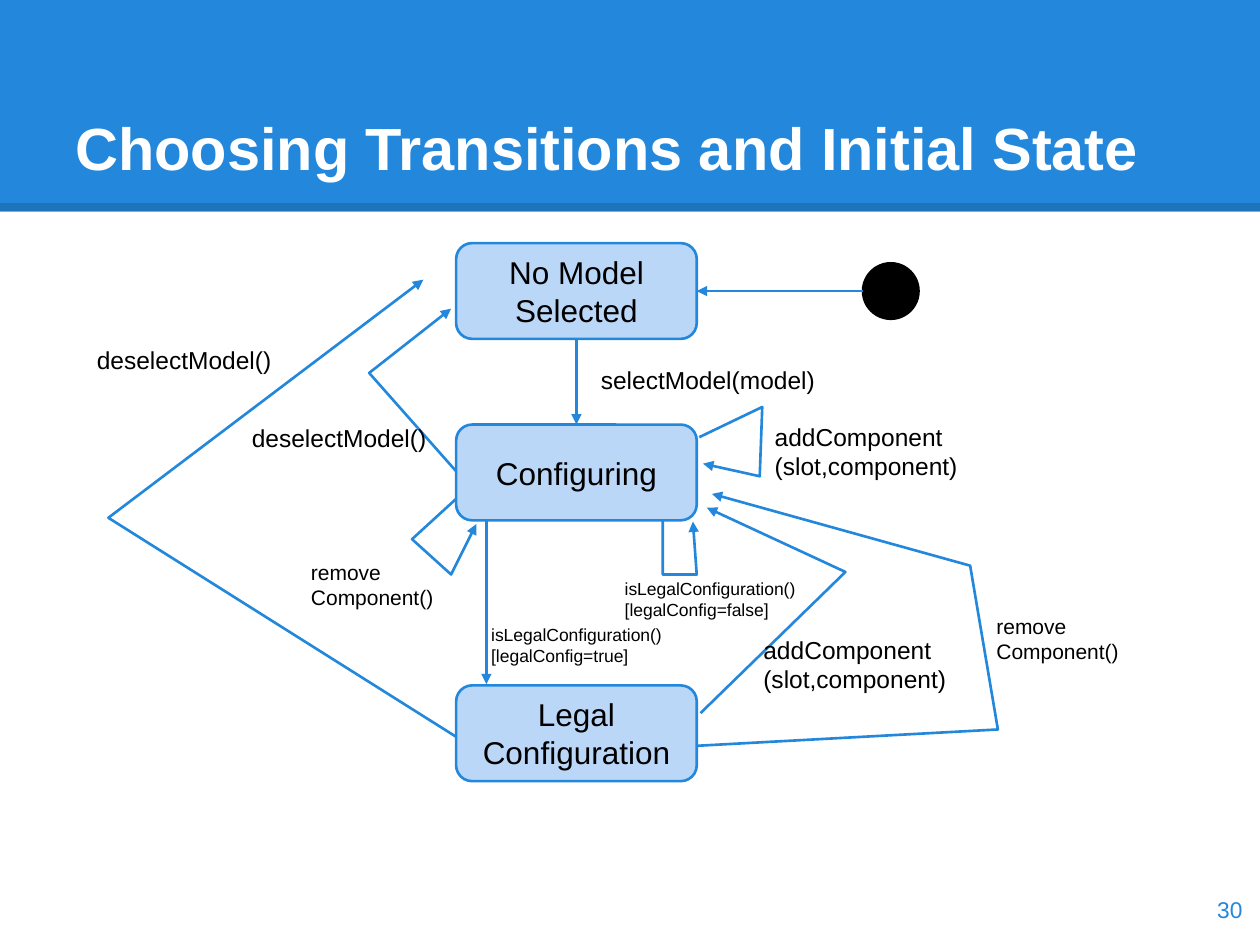
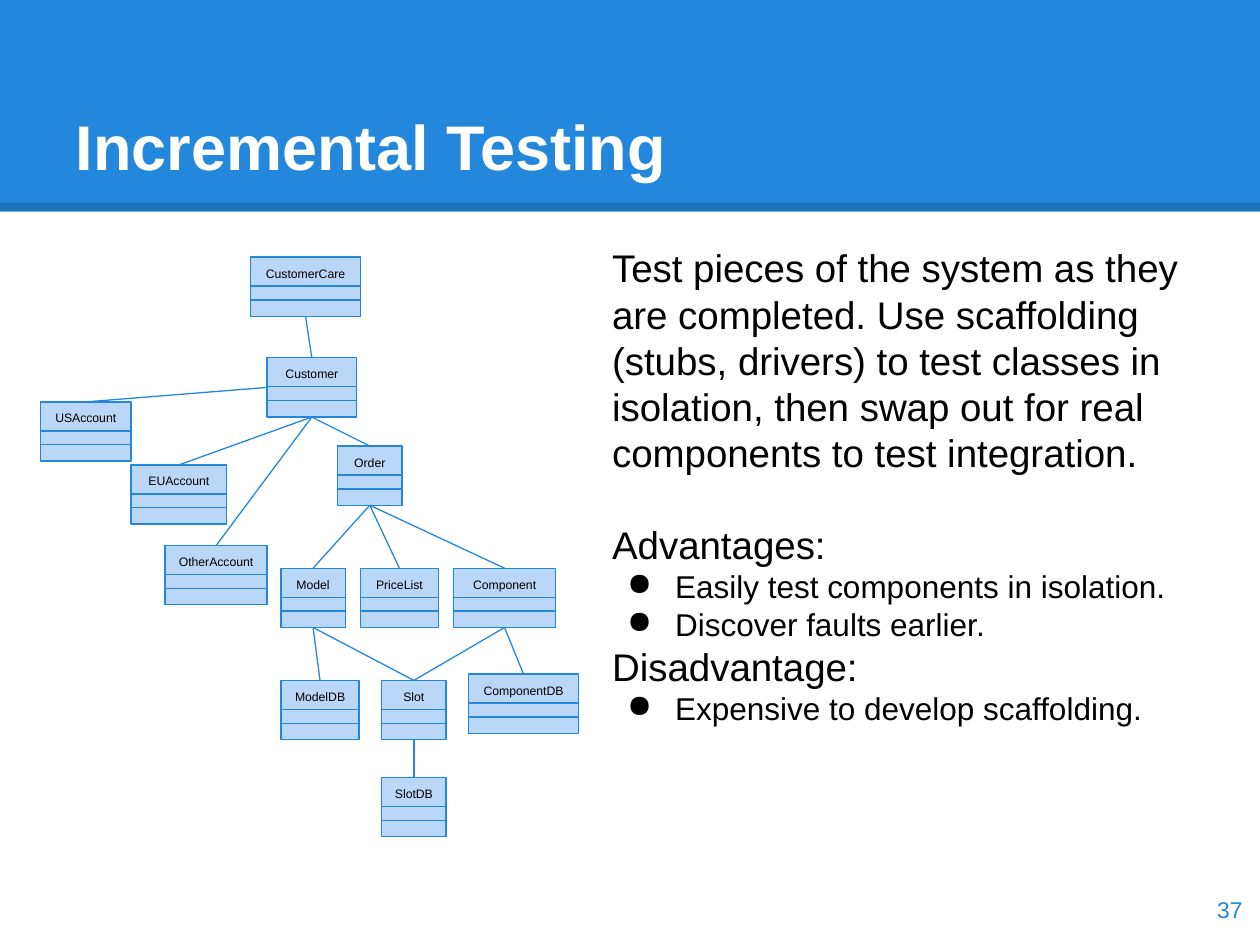
"""Build two lecture slides: a state diagram and an incremental testing overview."""
from lxml.etree import SubElement
from pptx import Presentation
from pptx.dml.color import RGBColor
from pptx.enum.shapes import MSO_CONNECTOR, MSO_SHAPE
from pptx.enum.text import MSO_ANCHOR, MSO_AUTO_SIZE, PP_ALIGN
from pptx.oxml.ns import qn
from pptx.util import Inches, Pt

FONT = "Arial"
BLUE, DARK_BLUE, PALE_BLUE = "2388DB", "1E74BA", "BBD7F8"
BLACK, WHITE = "000000", "FFFFFF"
TOP, LEFT, BOTTOM, RIGHT = range(4)

STATE_LEFT, STATE_WIDTH, STATE_HEIGHT = 3.62, 1.91, 0.76
STATES = {"No Model Selected": 1.93, "Configuring": 3.37, "Legal Configuration": 5.44}
TRANSITIONS = [
    [(5.52, 5.92), (7.92, 5.79), (7.7, 4.49), (5.65, 3.92)],
    [(3.62, 3.74), (2.93, 2.96), (3.58, 2.45)],
    [(3.64, 5.86), (0.86, 4.11), (3.36, 2.22)],
    [(5.55, 3.47), (6.05, 3.23), (6.03, 3.78), (5.58, 3.68)],
    [(5.56, 5.66), (6.71, 4.54), (5.61, 4.03)],
    [(3.62, 3.96), (3.27, 4.28), (3.58, 4.56), (3.78, 4.16)],
    [(5.26, 4.13), (5.26, 4.56), (5.53, 4.56), (5.5, 4.14)],
]
LABELS = [
    ("selectModel(model)", 4.67, 2.8, 1.96, 14),
    ("deselectModel()", 1.9, 3.26, 1.96, 14),
    ("deselectModel()", 0.67, 2.64, 1.96, 14),
    ("addComponent\n(slot,component)", 6.05, 3.25, 1.72, 14),
    ("addComponent\n(slot,component)", 5.96, 4.94, 1.72, 14),
    ("remove\nComponent()", 2.37, 4.34, 1.8, 12),
    ("remove\nComponent()", 7.81, 4.77, 1.8, 12),
    ("isLegalConfiguration() [legalConfig=true]", 3.8, 4.85, 1.6, 10),
    ("isLegalConfiguration() [legalConfig=false]", 4.86, 4.49, 1.96, 10),
]

CLASS_HEIGHT, DIVIDERS = 0.47, (0.23, 0.34)
CLASSES = {
    "USAccount": (0.32, 3.19, 0.72),
    "OtherAccount": (1.31, 4.33, 0.81),
    "EUAccount": (1.04, 3.69, 0.76),
    "Customer": (2.12, 2.84, 0.71),
    "CustomerCare": (1.99, 2.04, 0.87),
    "Order": (2.68, 3.54, 0.51),
    "Model": (2.23, 4.51, 0.51),
    "PriceList": (2.86, 4.51, 0.62),
    "Component": (3.6, 4.51, 0.81),
    "Slot": (3.03, 5.4, 0.51),
    "ModelDB": (2.23, 5.4, 0.62),
    "SlotDB": (3.03, 6.17, 0.51),
    "ComponentDB": (3.72, 5.35, 0.87),
}
CHILDREN = {
    "CustomerCare": ["Customer"],
    "Customer": ["EUAccount", "OtherAccount", "Order"],
    "Order": ["Model", "PriceList", "Component"],
    "Model": ["ModelDB", "Slot"],
    "Component": ["Slot", "ComponentDB"],
    "Slot": ["SlotDB"],
}
INTRO = ("Test pieces of the system as they are completed. Use scaffolding "
         "(stubs, drivers) to test classes in isolation, then swap out for real "
         "components to test integration.")
SECTIONS = [
    ("Advantages:", 26, ["Easily test components in isolation.", "Discover faults earlier."]),
    ("Disadvantage:", 0, ["Expensive to develop scaffolding."]),
]


def rgb(color):
    """Turn a hex string into a colour."""
    return RGBColor.from_string(color)


def inches(*values):
    """Convert numbers to lengths in inches."""
    return [Inches(v) for v in values]


def add_run(p, text, size, color=BLACK, bold=False):
    """Add formatted text to a paragraph, breaking at newlines."""
    for i, line in enumerate(text.split("\n")):
        if i:
            p.add_line_break()
        r = p.add_run()
        r.text = line
        r.font.name, r.font.size, r.font.bold = FONT, Pt(size), bold
        r.font.color.rgb = rgb(color)


def set_frame(tf, anchor=MSO_ANCHOR.TOP, inset=0.1, top=0.1):
    """Give a text frame wrapping, an anchor and its margins."""
    tf.word_wrap, tf.auto_size, tf.vertical_anchor = True, MSO_AUTO_SIZE.NONE, anchor
    tf.margin_left = tf.margin_right = Inches(inset)
    tf.margin_top = tf.margin_bottom = Inches(top)


def style_line(sp, color, width, arrow=False):
    """Colour an outline and optionally end it with a triangle."""
    sp.line.color.rgb = rgb(color)
    sp.line.width = Pt(width)
    if arrow:
        SubElement(sp.element.spPr.find(qn("a:ln")), qn("a:tailEnd"), type="triangle")


def add_box(s, kind, at, fill, line=None, width=1.5):
    """Add a filled preset shape."""
    sp = s.shapes.add_shape(kind, *inches(*at))
    sp.shadow.inherit = False
    sp.fill.solid()
    sp.fill.fore_color.rgb = rgb(fill)
    if line:
        style_line(sp, line, width)
    else:
        sp.line.fill.background()
    return sp


def add_line(s, start, end, color=BLUE, width=0.75, arrow=False):
    """Add a straight connector between two points."""
    line = s.shapes.add_connector(MSO_CONNECTOR.STRAIGHT, *inches(*start, *end))
    style_line(line, color, width, arrow)
    SubElement(line.element.spPr, qn("a:effectLst"))
    return line


def join(s, first, first_side, second, second_side, **style):
    """Connect the sides of two boxes."""
    line = add_line(s, (0, 0), (1, 1), **style)
    line.begin_connect(first, first_side)
    line.end_connect(second, second_side)


def add_path(s, points):
    """Add an open bent arrow through the points."""
    start, *rest = [inches(*point) for point in points]
    builder = s.shapes.build_freeform(*start)
    builder.add_line_segments(rest, close=False)
    sp = builder.convert_to_shape()
    sp.shadow.inherit = False
    sp.fill.background()
    style_line(sp, BLUE, 1.5, arrow=True)


def add_text(s, at, anchor=MSO_ANCHOR.TOP):
    """Add a wrapping text box and return its frame."""
    tf = s.shapes.add_textbox(*inches(*at)).text_frame
    set_frame(tf, anchor)
    return tf


def add_band(s):
    """Draw the header band and move it to the slide's layout."""
    band = add_box(s, MSO_SHAPE.RECTANGLE, (0, 0, 10, 1.68), BLUE)
    rule = add_line(s, (0, 1.64), (10, 1.64), DARK_BLUE, 4.5)
    for i, sp in enumerate((band, rule)):
        s.slide_layout.shapes.element.insert(2 + i, sp.element)


def add_slide(prs, title, size, number):
    """Add a slide with its title and page number."""
    s = prs.slides.add_slide(prs.slide_layouts[5])
    sp = s.shapes.title
    sp.left, sp.top, sp.width, sp.height = inches(0.5, 0.3, 9, 1.25)
    set_frame(sp.text_frame, MSO_ANCHOR.BOTTOM)
    p = sp.text_frame.paragraphs[0]
    p.alignment = PP_ALIGN.LEFT
    add_run(p, title, size, WHITE, bold=True)
    p = add_text(s, (9.36, 6.93, 0.6, 0.57), MSO_ANCHOR.MIDDLE).paragraphs[0]
    p.alignment = PP_ALIGN.RIGHT
    add_run(p, number, 13, BLUE)
    return s


def add_state(s, name, top):
    """Add a rounded state box."""
    at = (STATE_LEFT, top, STATE_WIDTH, STATE_HEIGHT)
    sp = add_box(s, MSO_SHAPE.ROUNDED_RECTANGLE, at, PALE_BLUE, BLUE)
    set_frame(sp.text_frame, MSO_ANCHOR.MIDDLE)
    p = sp.text_frame.paragraphs[0]
    p.alignment = PP_ALIGN.CENTER
    add_run(p, name, 18)
    return sp


def add_class(s, name, left, top, width):
    """Add a class box with three compartments."""
    at = (left, top, width, CLASS_HEIGHT)
    sp = add_box(s, MSO_SHAPE.RECTANGLE, at, PALE_BLUE, BLUE, 0.75)
    set_frame(sp.text_frame, inset=0, top=0.07)
    p = sp.text_frame.paragraphs[0]
    p.alignment = PP_ALIGN.CENTER
    add_run(p, name, 7)
    for offset in DIVIDERS:
        add_line(s, (left, top + offset), (left + width, top + offset))
    return sp


def add_bullet(tf, text):
    """Add a bulleted paragraph."""
    p = tf.add_paragraph()
    pPr = p._p.get_or_add_pPr()
    pPr.set("marL", str(Inches(0.5)))
    pPr.set("indent", str(Inches(-0.38)))
    SubElement(SubElement(pPr, qn("a:buClr")), qn("a:srgbClr"), val=BLACK)
    SubElement(pPr, qn("a:buChar"), char="●")
    add_run(p, text, 18)


def build_state_diagram(s):
    """Draw the states, transitions and their labels."""
    for points in TRANSITIONS:
        add_path(s, points)
    states = {name: add_state(s, name, top) for name, top in STATES.items()}
    idle, configuring = states["No Model Selected"], states["Configuring"]
    add_box(s, MSO_SHAPE.OVAL, (6.85, 2.09, 0.44, 0.44), BLACK, BLACK)
    initial = add_line(s, (6.85, 2.31), (5.53, 2.31), width=1.5, arrow=True)
    initial.end_connect(idle, RIGHT)
    join(s, idle, BOTTOM, configuring, TOP, width=1.5, arrow=True)
    add_line(s, (3.86, 4.13), (3.86, 5.43), width=1.5, arrow=True)
    for text, left, top, width, size in LABELS:
        add_run(add_text(s, (left, top, width, 0.3)).paragraphs[0], text, size)


def build_testing(s):
    """Draw the class tree and the explanation beside it."""
    tf = add_text(s, (4.76, 1.84, 4.74, 4.99))
    add_run(tf.paragraphs[0], INTRO, 22)
    for heading, space, bullets in SECTIONS:
        p = tf.add_paragraph()
        p.space_before = Pt(space)
        add_run(p, heading, 22)
        for text in bullets:
            add_bullet(tf, text)
    classes = {name: add_class(s, name, *at) for name, at in CLASSES.items()}
    join(s, classes["USAccount"], TOP, classes["Customer"], LEFT)
    for parent, children in CHILDREN.items():
        for child in children:
            join(s, classes[child], TOP, classes[parent], BOTTOM)


def main():
    """Build and save the presentation."""
    prs = Presentation()
    prs.slide_width, prs.slide_height = inches(10, 7.5)
    s = add_slide(prs, "Choosing Transitions and Initial State", 34, "30")
    add_band(s)
    build_state_diagram(s)
    build_testing(add_slide(prs, "Incremental Testing", 36, "37"))
    prs.save("out.pptx")


if __name__ == "__main__":
    main()
